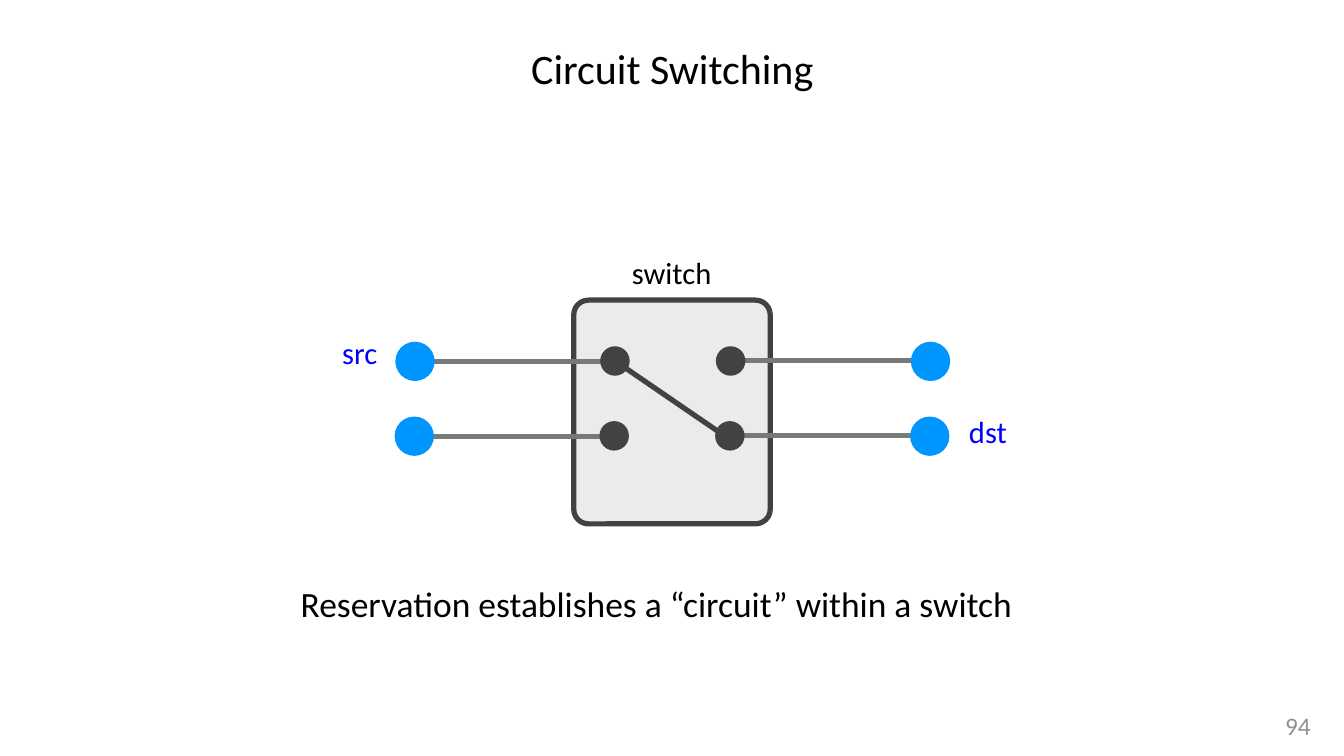
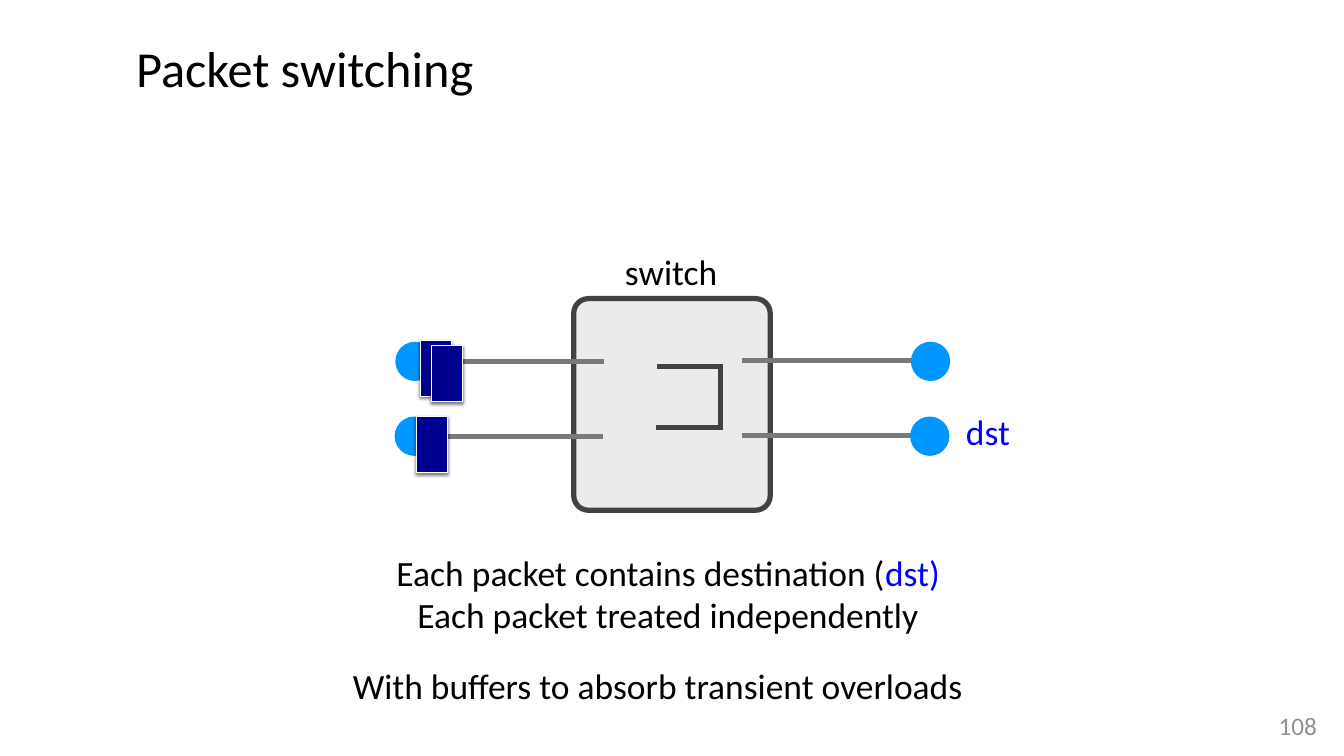
from dataclasses import dataclass
from lxml.etree import SubElement
from pptx import Presentation
from pptx.dml.color import RGBColor
from pptx.enum.shapes import MSO_CONNECTOR as CONN, MSO_SHAPE as SHAPE
from pptx.enum.text import MSO_ANCHOR as ANCHOR, MSO_AUTO_SIZE as FIT, PP_ALIGN as ALIGN
from pptx.oxml.ns import qn
from pptx.util import Emu, Pt

PX = 9144
TITLE_ONLY = 5


@dataclass(frozen=True)
class Theme:
    font: str = "Calibri"
    ink: str = "000000"
    accent: str = "0000FF"
    page: str = "919191"
    node: str = "0096FF"
    link: str = "797979"
    dark: str = "424242"
    box: str = "EBEBEB"
    packet: str = "000090"
    white: str = "FFFFFF"
    title_size: float = 40
    big_title_size: float = 48
    body_size: float = 33.8
    label_size: float = 29.1
    page_size: float = 24
    stroke: float = 5


def px(*lengths):
    return [Emu(n * PX) for n in lengths]


def rgb(value):
    return RGBColor.from_string(value)


def write(tf, text, *, font, size, color, align=ALIGN.CENTER, anchor=ANCHOR.MIDDLE,
          inset=5, wrap=False, marked="", mark_color=None):
    tf.auto_size = FIT.NONE
    tf.word_wrap = wrap
    tf.vertical_anchor = anchor
    tf.margin_left = tf.margin_top = tf.margin_right = tf.margin_bottom = Emu(inset * PX)
    for i, line in enumerate(text.split("\n")):
        p = tf.add_paragraph() if i else tf.paragraphs[0]
        p.alignment = align
        p.space_before = Pt(0)
        before, mark, after = line.partition(marked) if marked else (line, "", "")
        for part, c in ((before, color), (mark, mark_color), (after, color)):
            if part:
                r = p.add_run()
                r.text = part
                r.font.name = font
                r.font.size = Pt(size)
                r.font.color.rgb = rgb(c)


class Deck:
    def __init__(self, theme):
        self.theme = theme
        self.prs = Presentation()
        self.prs.slide_width, self.prs.slide_height = px(1778, 1000)
        self.slide = None

    def add_slide(self, title, number, size, align):
        t = self.theme
        self.slide = self.prs.slides.add_slide(self.prs.slide_layouts[TITLE_ONLY])
        s = self.slide.shapes.title
        s.left, s.top, s.width, s.height = px(174, 0, 1431, 178)
        write(s.text_frame, title, font=t.font, size=size, color=t.ink,
              align=align, inset=6, wrap=True)
        self.text(str(number), 1694, 939, 46, 50, size=t.page_size, color=t.page,
                  anchor=ANCHOR.TOP, inset=0)

    def text(self, text, x, y, w, h, *, size=None, color=None, **fmt):
        t = self.theme
        s = self.slide.shapes.add_textbox(*px(x, y, w, h))
        write(s.text_frame, text, font=t.font, size=size or t.body_size,
              color=color or t.ink, **fmt)

    def shape(self, kind, x, y, w, h, fill, line=None, width=None):
        s = self.slide.shapes.add_shape(kind, *px(x, y, w, h))
        s.shadow.inherit = False
        s.fill.solid()
        s.fill.fore_color.rgb = rgb(fill)
        if line:
            s.line.color.rgb = rgb(line)
            s.line.width = Pt(width)
        else:
            s.line.fill.background()
        return s

    def line(self, x1, y1, x2, y2, color):
        s = self.slide.shapes.add_connector(CONN.STRAIGHT, *px(x1, y1, x2, y2))
        s.line.color.rgb = rgb(color)
        s.line.width = Pt(self.theme.stroke)
        SubElement(s._element.spPr, qn("a:effectLst"))

    def switch_box(self, y, h):
        t = self.theme
        s = self.shape(SHAPE.ROUNDED_RECTANGLE, 759, y, 260, h, t.box, t.dark, t.stroke)
        s.adjustments[0] = 0.075

    def links(self, contacts=False):
        t = self.theme
        for row in range(2):
            dx, dy = -row, 99 * row
            for x, y, node_x, contact_x in ((556, 478, 523, 794), (982, 477, 1205, 947)):
                self.line(x + dx, y + dy, x + 243 + dx, y + dy, t.link)
                self.shape(SHAPE.OVAL, node_x + dx, 452 + dy, 52, 52, t.node)
                if contacts:
                    self.shape(SHAPE.OVAL, contact_x + dx, 458 + dy, 39, 39, t.dark)

    def buffer(self):
        dark = self.theme.dark
        self.line(953, 567, 953, 483, dark)
        self.line(869, 485, 956, 485, dark)
        self.line(868, 565, 956, 565, dark)

    def packet(self, x, y):
        t = self.theme
        s = self.shape(SHAPE.RECTANGLE, x, y, 41, 74, t.packet, t.white, 1)
        effects = s._element.spPr.find(qn("a:effectLst"))
        shadow = SubElement(effects, qn("a:outerShdw"), blurRad=str(Pt(3)),
                            dist=str(Pt(2)), dir="5400000", rotWithShape="0")
        color = SubElement(shadow, qn("a:srgbClr"), val=t.ink)
        SubElement(color, qn("a:alpha"), val="50000")


def circuit_switching(deck):
    t = deck.theme
    deck.add_slide("Circuit Switching", 94, t.title_size, ALIGN.CENTER)
    deck.switch_box(397, 296)
    deck.line(819, 481, 968, 583, t.dark)
    deck.links(contacts=True)
    deck.text("switch", 830, 330, 117, 59, size=t.label_size)
    deck.text("src", 447, 437, 58, 59, size=t.label_size, color=t.accent)
    deck.text("dst", 1276, 541, 62, 59, size=t.label_size, color=t.accent)
    deck.text("Reservation establishes a “circuit” within a switch", 387, 764, 964, 67)


def packet_switching(deck):
    t = deck.theme
    deck.add_slide("Packet switching", 108, t.big_title_size, ALIGN.LEFT)
    deck.switch_box(395, 280)
    deck.buffer()
    deck.links()
    for x, y in ((556, 450), (571, 457), (551, 551)):
        deck.packet(x, y)
    deck.text("With buffers to absorb transient overloads", 456, 873, 829, 67)
    deck.text("switch", 821, 326, 134, 67)
    deck.text("dst", 1272, 537, 70, 67, color=t.accent)
    deck.text("Each packet contains destination (dst)\nEach packet treated independently",
              514, 723, 740, 124, marked="dst)", mark_color=t.accent)


def main():
    deck = Deck(Theme())
    circuit_switching(deck)
    packet_switching(deck)
    deck.prs.save("out.pptx")


if __name__ == "__main__":
    main()
